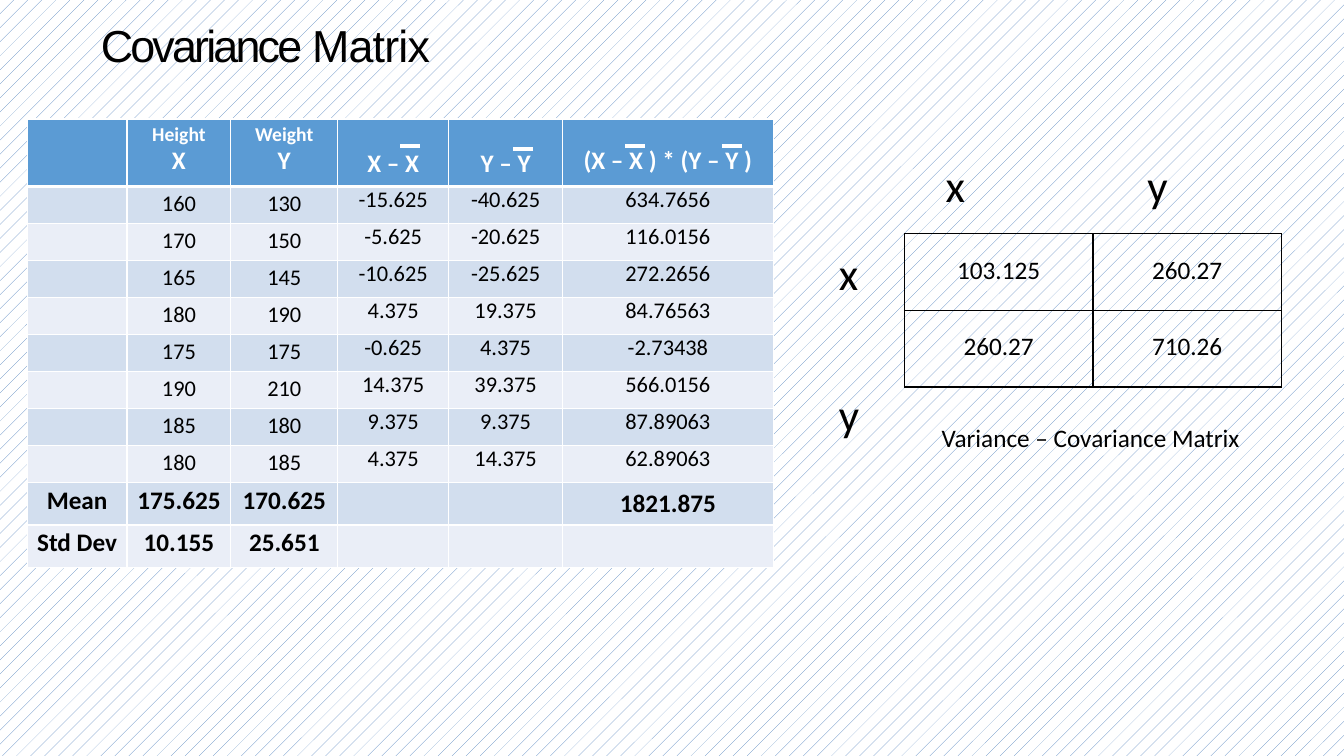
import pptx
import pptx.util
import pptx.dml.color
import pptx.enum.dml
import pptx.enum.shapes
import pptx.enum.text
import pptx.oxml
from pptx.util import Inches, Pt

ALIGN = pptx.enum.text.PP_ALIGN
NS = 'xmlns:a="http://schemas.openxmlformats.org/drawingml/2006/main"'
BLACK, WHITE, BLUE, BAND, PALE = "000000", "FFFFFF", "5B9BD4", "D2DEEE", "EAEEF7"


def rgb(value):
    return pptx.dml.color.RGBColor.from_string(value)


def apply(target, values):
    for name, value in values.items():
        setattr(target, name, value)


class Builder:
    body = "Calibri"

    def __init__(self, s):
        self.s = s

    def run(self, p, text, size, color=BLACK, bold=False, font=body, spacing=0):
        """Add a run; spacing is the letter spacing in points."""
        r = p.add_run()
        r.text = text
        apply(r.font, {"size": Pt(size), "bold": bold, "name": font})
        r.font.color.rgb = rgb(color)
        if spacing:
            r.font._element.set("spc", str(round(spacing * 100)))

    def frame(self, tf):
        """Clear insets, wrap and anchor to the top."""
        apply(tf, {"margin_left": 0, "margin_right": 0, "margin_bottom": 0,
                   "margin_top": Inches(0.02), "word_wrap": True,
                   "auto_size": pptx.enum.text.MSO_AUTO_SIZE.NONE,
                   "vertical_anchor": pptx.enum.text.MSO_ANCHOR.TOP})

    def title(self, box, runs):
        sp = self.s.shapes.title
        apply(sp, dict(zip(("left", "top", "width", "height"), map(Inches, box))))
        self.frame(sp.text_frame)
        p = sp.text_frame.paragraphs[0]
        p.alignment = ALIGN.LEFT
        for text, spacing in runs:
            self.run(p, text, 32, font="Arial", spacing=spacing)

    def text(self, box, lines, size, gap=0):
        """Add a text box; gap is the space between its paragraphs in points."""
        tf = self.s.shapes.add_textbox(*map(Inches, box)).text_frame
        self.frame(tf)
        for i, line in enumerate(lines):
            p = tf.add_paragraph() if i else tf.paragraphs[0]
            p.space_before = Pt(gap if i else 0)
            self.run(p, line, size)

    def table(self, left, top, widths, heights):
        box = (left, top, sum(widths), sum(heights))
        table = self.s.shapes.add_table(len(heights), len(widths), *map(Inches, box)).table
        apply(table, {"first_row": False, "horz_banding": False})
        for column, width in zip(table.columns, widths):
            column.width = Inches(width)
        for row, height in zip(table.rows, heights):
            row.height = Inches(height)
        return table

    def cell(self, cell, lines, top, size=18, color=BLACK, bold=False,
             fill=None, border=WHITE, thick=None):
        """Fill a cell with (text, size, line pitch) lines; thick names a 3 pt side."""
        apply(cell, {"margin_left": 0, "margin_right": 0, "margin_bottom": 0,
                     "margin_top": Inches(top)})
        tc_pr = cell._tc.get_or_add_tcPr()
        for side in "LRTB":
            width = Pt(3 if side == thick else 1)
            tc_pr.append(pptx.oxml.parse_xml(
                f'<a:ln{side} {NS} w="{width}"><a:solidFill>'
                f'<a:srgbClr val="{border}"/></a:solidFill></a:ln{side}>'))
        if fill:
            cell.fill.solid()
            cell.fill.fore_color.rgb = rgb(fill)
        else:
            cell.fill.background()
        for i, (text, line_size, pitch) in enumerate(lines):
            tf = cell.text_frame
            p = tf.add_paragraph() if i else tf.paragraphs[0]
            p.alignment = ALIGN.CENTER
            if pitch:
                p.line_spacing = Pt(pitch)
            if text:
                self.run(p, text, line_size or size, color, bold)

    def overbar(self, x, y):
        line = self.s.shapes.add_connector(
            pptx.enum.shapes.MSO_CONNECTOR.STRAIGHT,
            Inches(x), Inches(y), Inches(x + 0.2), Inches(y))
        line.line.width = Pt(3)
        line.line.color.rgb = rgb(WHITE)
        line._element.spPr.append(pptx.oxml.parse_xml(f"<a:effectLst {NS}/>"))


HEADERS = [
    ([], 0.04),
    ([("Height", 14, 16.6), ("X", 18, 21.4)], 0.04),
    ([("Weight", 14, 16.6), ("Y", 18, 21.4)], 0.04),
    ([("X – X", 18, None)], 0.29),
    ([("Y – Y", 18, None)], 0.29),
    ([("(X – X ) * (Y – Y )", 18, None)], 0.26),
]
SAMPLES = [
    ("", "160", "130", "-15.625", "-40.625", "634.7656"),
    ("", "170", "150", "-5.625", "-20.625", "116.0156"),
    ("", "165", "145", "-10.625", "-25.625", "272.2656"),
    ("", "180", "190", "4.375", "19.375", "84.76563"),
    ("", "175", "175", "-0.625", "4.375", "-2.73438"),
    ("", "190", "210", "14.375", "39.375", "566.0156"),
    ("", "185", "180", "9.375", "9.375", "87.89063"),
    ("", "180", "185", "4.375", "14.375", "62.89063"),
]
SUMMARY = [
    ("Mean", "175.625", "170.625", "", "", "1821.875"),
    ("Std Dev", "10.155", "25.651", "", "", ""),
]
COVARIANCE = [("103.125", "260.27"), ("260.27", "710.26")]


def main():
    prs = pptx.Presentation()
    prs.slide_width, prs.slide_height = Inches(13.33), Inches(7.5)
    s = prs.slides.add_slide(prs.slide_layouts[5])
    fill = s.background.fill
    fill.patterned()
    fill.pattern = pptx.enum.dml.MSO_PATTERN.PERCENT_5
    fill.fore_color.rgb, fill.back_color.rgb = rgb("4F81BD"), rgb(WHITE)

    b = Builder(s)
    b.title((1, 0.16, 3.27, 0.56), [("Covariance ", -2), ("Matrix", -0.6)])

    sample_height = (4.45 - 0.67 - 2 * 0.42) / len(SAMPLES)
    heights = [0.67] + [sample_height] * len(SAMPLES) + [0.42] * len(SUMMARY)
    data = b.table(0.27, 1.18, [0.99, 1.03, 1.06, 1.1, 1.13, 2.09], heights)
    for col, (lines, top) in enumerate(HEADERS):
        b.cell(data.cell(0, col), lines, top, color=WHITE, bold=True, fill=BLUE, thick="B")
    for row, values in enumerate(SAMPLES + SUMMARY, 1):
        summary = row > len(SAMPLES)
        for col, value in enumerate(values):
            if summary:
                top = 0.06 if col == 5 else 0.03
            else:
                top = 0.04 if col < 3 else 0
            b.cell(data.cell(row, col), [(value, None, None)], top,
                   size=18 if summary else 16, bold=summary,
                   fill=BAND if row % 2 else PALE, thick="T" if row == 1 else None)
    for x, y in ((3.97, 1.45), (5.09, 1.48), (6.2, 1.45), (7.16, 1.45)):
        b.overbar(x, y)

    matrix = b.table(8.97, 2.32, [1.87] * 2, [0.76] * 2)
    for row, values in enumerate(COVARIANCE):
        for col, value in enumerate(values):
            b.cell(matrix.cell(row, col), [(value, None, None)], 0.21, border=BLACK)

    b.text((9.38, 1.54, 0.22, 0.56), ["x"], 32)
    b.text((11.38, 1.54, 0.23, 0.56), ["y"], 32)
    b.text((8.32, 2.42, 0.23, 1.43), ["x", "y"], 32, gap=62)
    b.text((9.34, 4.17, 2.99, 0.33), ["Variance – Covariance Matrix"], 18)
    prs.save("out.pptx")


if __name__ == "__main__":
    main()
